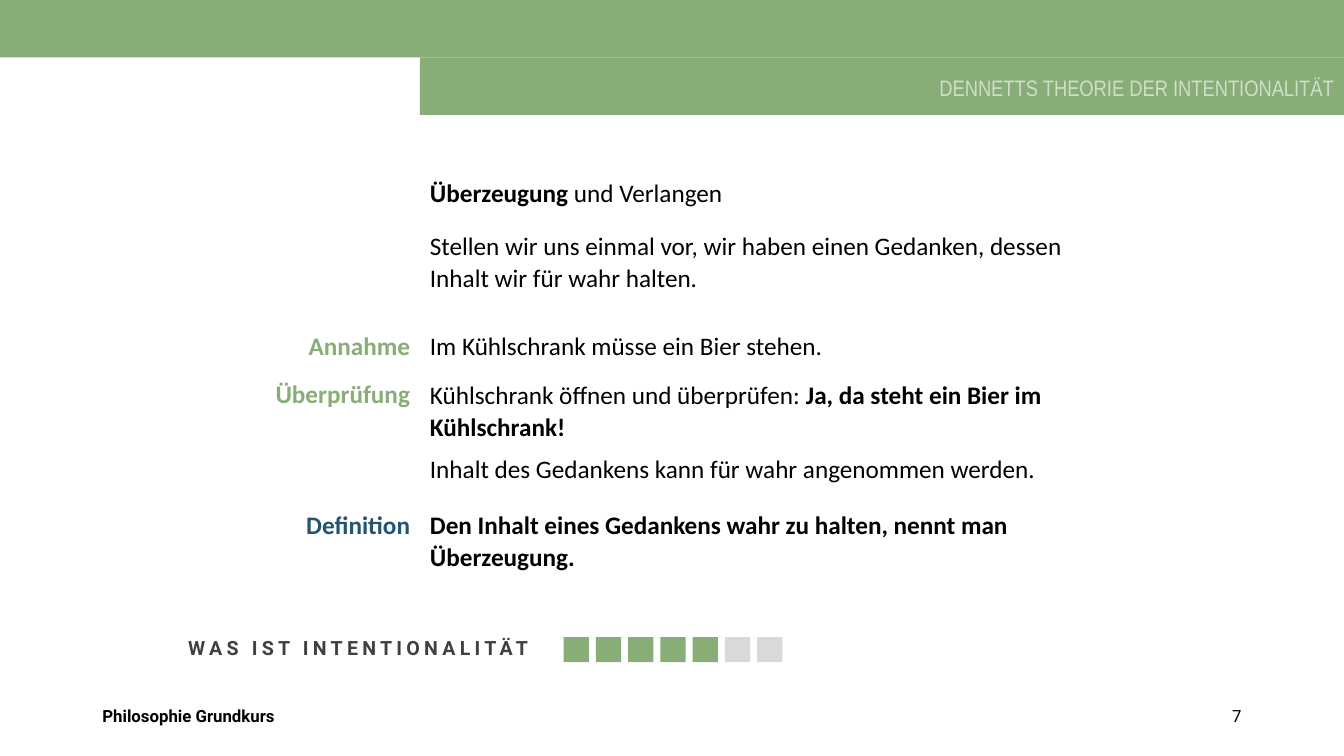
from dataclasses import dataclass

from pptx import Presentation
from pptx.dml.color import RGBColor
from pptx.enum.shapes import MSO_SHAPE
from pptx.enum.text import MSO_ANCHOR, MSO_AUTO_SIZE, PP_ALIGN
from pptx.util import Inches, Pt

RECT = MSO_SHAPE.RECTANGLE
LEFT, RIGHT = PP_ALIGN.LEFT, PP_ALIGN.RIGHT
MIDDLE = MSO_ANCHOR.MIDDLE
NO_FIT, GROW = MSO_AUTO_SIZE.NONE, MSO_AUTO_SIZE.SHAPE_TO_FIT_TEXT
COLS, ROWS = 16, 100
TITLE_ONLY = 5


@dataclass(frozen=True)
class Theme:
    green: str = "88AD76"
    pale: str = "CFDEC8"
    blue: str = "255372"
    grey: str = "D9D9D9"
    dark: str = "404040"
    black: str = "000000"
    body_font: str = "Calibri"
    label_font: str = "Roboto"
    header_font: str = "Arial Narrow"
    body: int = 18
    header: int = 16
    title: int = 14
    footer: int = 12


class Deck:
    """Draws styled elements on a slide grid of 16 columns and 100 rows."""

    def __init__(self, theme):
        self.t = theme
        self.prs = Presentation()
        self.prs.slide_width, self.prs.slide_height = Inches(13.33), Inches(7.5)
        self.s = self.prs.slides.add_slide(self.prs.slide_layouts[TITLE_ONLY])

    def box(self, col, row, cols, rows):
        w, h = self.prs.slide_width, self.prs.slide_height
        return (int(w * col / COLS), int(h * row / ROWS),
                int(w * cols / COLS), int(h * rows / ROWS))

    def style(self, p, size, font, color, bold=None, align=LEFT):
        p.alignment = align
        p.font.size, p.font.name, p.font.bold = Pt(size), font, bold
        p.font.color.rgb = RGBColor.from_string(color)

    def title(self, text, *grid):
        sp = self.s.shapes.title
        sp.left, sp.top, sp.width, sp.height = self.box(*grid)
        tf = sp.text_frame
        tf.auto_size, tf.vertical_anchor = NO_FIT, MIDDLE
        p = tf.paragraphs[0]
        r = p.add_run()
        r.text = text
        r.font._element.set("spc", "300")
        p.line_spacing = 0.9
        self.style(p, self.t.title, self.t.label_font, self.t.dark, True)

    def rect(self, color, *grid):
        sp = self.s.shapes.add_shape(RECT, *self.box(*grid))
        sp.shadow.inherit = False
        sp.fill.solid()
        sp.fill.fore_color.rgb = RGBColor.from_string(color)
        sp.line.fill.background()

    def text(self, text, grid, size, font, color, bold=None, align=LEFT):
        tf = self.s.shapes.add_textbox(*self.box(*grid)).text_frame
        tf.word_wrap = True
        p = tf.paragraphs[0]
        p.add_run().text = text
        self.style(p, size, font, color, bold, align)
        return tf

    def body(self, runs, row, col=5, cols=8, lines=1, color=None, align=LEFT):
        t = self.t
        grid = (col, row, cols, 1.2 + 4.27 * lines)
        tf = self.s.shapes.add_textbox(*self.box(*grid)).text_frame
        tf.word_wrap, tf.auto_size = True, GROW
        p = tf.paragraphs[0]
        for text, bold in runs:
            r = p.add_run()
            r.text, r.font.bold = text, bold
        self.style(p, t.body, t.body_font, color or t.black, align=align)
        p.line_spacing, p.space_after = 1.07, Pt(8)

    def label(self, text, row, color):
        self.body([(text, True)], row, col=1, cols=4, color=color, align=RIGHT)

    def progress(self, done, total, col, row):
        for i in range(total):
            color = self.t.green if i < done else self.t.grey
            self.rect(color, col + 0.384 * i, row, 0.3, 3.33)


def main():
    t = Theme()
    d = Deck(t)
    d.rect(t.green, 0, 0, 16, 7.6)
    d.rect(t.green, 5, 7.6, 11, 7.6)
    d.text("DENNETTS THEORIE DER INTENTIONALITÄT", (8.15, 9.2, 7.85, 4.93),
           t.header, t.header_font, t.pale, align=RIGHT)

    d.body([("Überzeugung ", True), ("und Verlangen", False)], 22.53)
    d.body([("Stellen wir uns einmal vor, wir haben einen Gedanken, "
             "dessen Inhalt wir für wahr halten.", False)], 29.47, lines=2)
    d.label("Annahme", 42.8, t.green)
    d.body([("Im Kühlschrank müsse ein Bier stehen.", False)], 42.8)
    d.label("Überprüfung", 49.13, t.green)
    d.body([("Kühlschrank öffnen und überprüfen: ", False),
            ("Ja, da steht ein Bier im Kühlschrank!", True)], 49.2, lines=2)
    d.body([("Inhalt des Gedankens kann für wahr angenommen werden.", False)],
           59.07)
    d.label("Definition", 66.4, t.blue)
    d.body([("Den Inhalt eines Gedankens wahr zu halten, nennt man "
             "Überzeugung.", True)], 66.4, lines=2)

    d.title("WAS IST INTENTIONALITÄT", 2.12, 82.4, 9.17, 7.07)
    d.progress(5, 7, 6.71, 84.27)
    d.text("Philosophie Grundkurs", (1.1, 92.67, 5.4, 5.33),
           t.footer, t.label_font, t.black, True)
    d.text("7", (11.3, 92.67, 3.6, 5.33),
           t.footer, t.label_font, t.black, align=RIGHT)
    d.prs.save("out.pptx")


if __name__ == "__main__":
    main()
